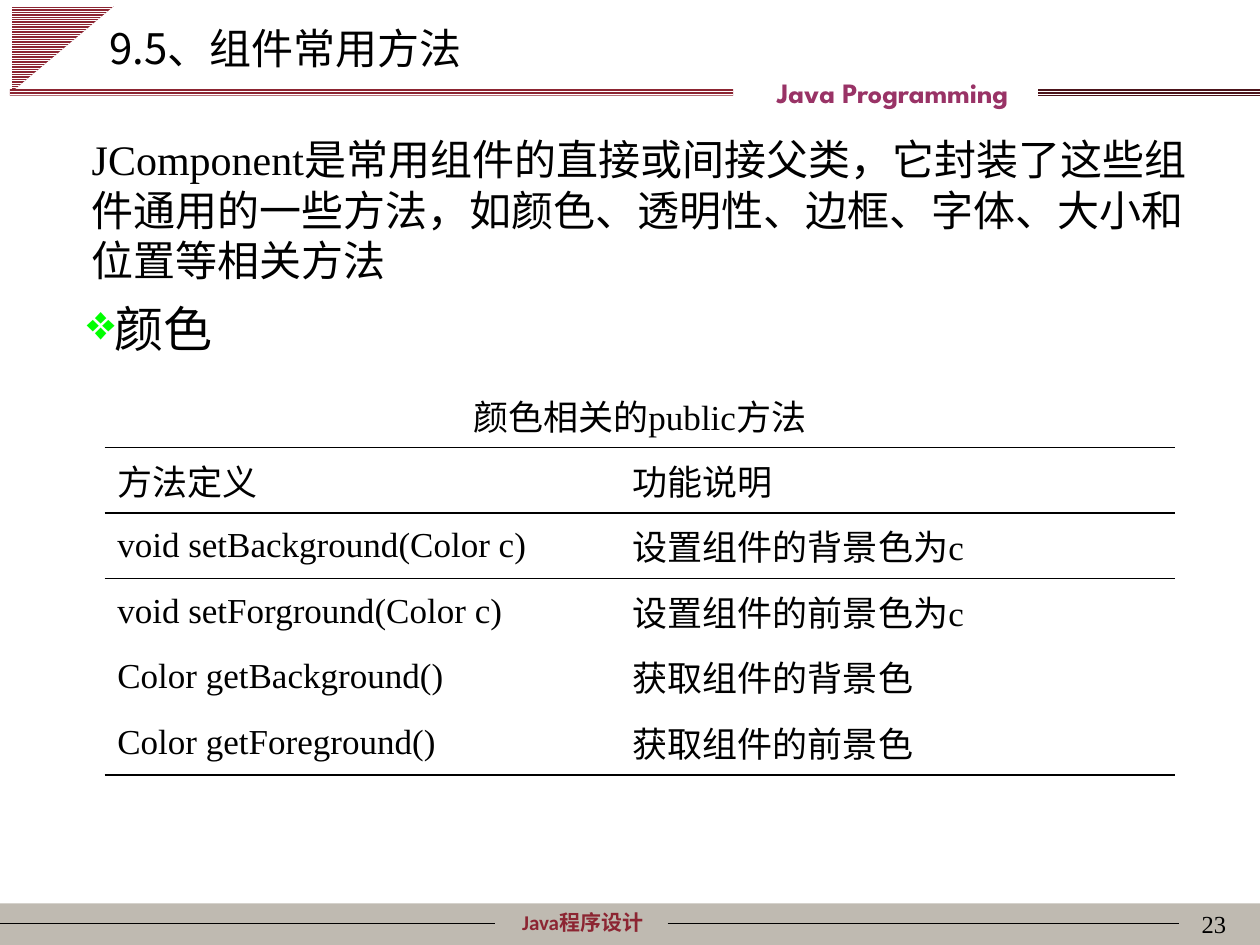
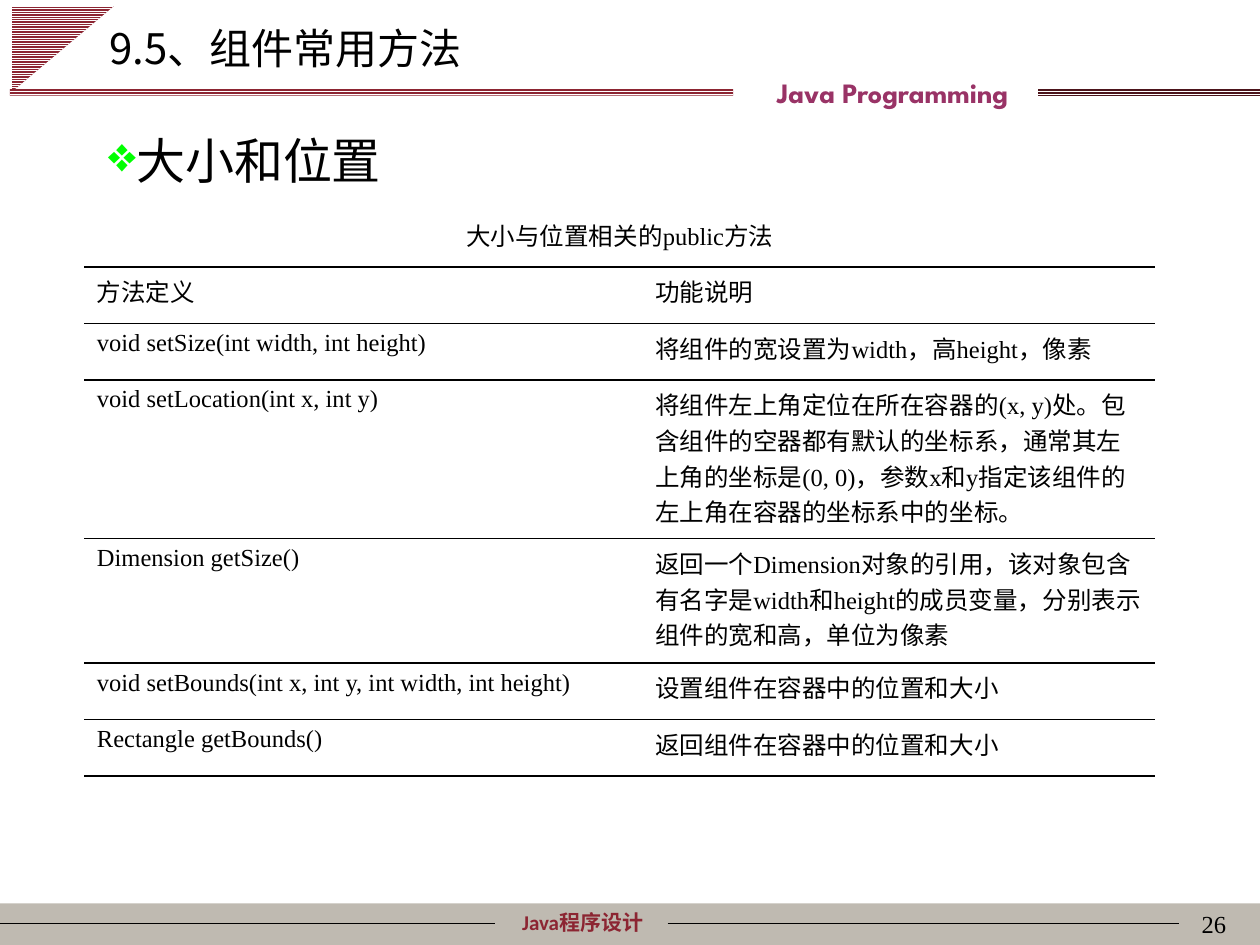
from lxml import etree
from pptx import Presentation
from pptx.dml.color import RGBColor
from pptx.enum.dml import MSO_PATTERN
from pptx.enum.shapes import MSO_CONNECTOR, MSO_SHAPE
from pptx.enum.text import MSO_ANCHOR, MSO_AUTO_SIZE, PP_ALIGN
from pptx.oxml.ns import qn
from pptx.util import Cm, Pt

BLACK = RGBColor(0x00, 0x00, 0x00)
WHITE = RGBColor(0xFF, 0xFF, 0xFF)
STONE = RGBColor(0xBF, 0xBA, 0xB1)
CRIMSON = RGBColor(0x8C, 0x25, 0x32)
MAROON = RGBColor(0x4C, 0x14, 0x1B)
PLUM = RGBColor(0x99, 0x33, 0x66)

RECTANGLE, TRIANGLE = MSO_SHAPE.RECTANGLE, MSO_SHAPE.RIGHT_TRIANGLE
STRAIGHT = MSO_CONNECTOR.STRAIGHT
STRIPES = MSO_PATTERN.LIGHT_HORIZONTAL
LEFT, CENTER, RIGHT = PP_ALIGN.LEFT, PP_ALIGN.CENTER, PP_ALIGN.RIGHT
TOP, MIDDLE = MSO_ANCHOR.TOP, MSO_ANCHOR.MIDDLE
GROW = MSO_AUTO_SIZE.SHAPE_TO_FIT_TEXT

HAN_FONT = "Noto Sans CJK SC"
BODY_FONT = "Times New Roman"
NO_TABLE_STYLE = "{2D5ABB26-0587-4C30-8999-92F81FD0307C}"
LINE_FACTOR = 1.2

TITLE = {"size": Pt(24), "name": HAN_FONT}
BODY = {"size": Pt(24), "name": BODY_FONT}
HEADING = {"size": Pt(28), "name": BODY_FONT}
PAGE_NUMBER = {"size": Pt(14), "name": BODY_FONT}
COURSE = {"size": Pt(12), "name": "Calibri", "bold": True}
BANNER = {"size": Pt(16), "name": "League Spartan", "bold": True}

COLOR_ROWS = [
    ("颜色相关的public方法", ""),
    ("方法定义", "功能说明"),
    ("void setBackground(Color c)", "设置组件的背景色为c"),
    ("void setForground(Color c)", "设置组件的前景色为c"),
    ("Color getBackground()", "获取组件的背景色"),
    ("Color getForeground()", "获取组件的前景色"),
]
SIZE_ROWS = [
    ("大小与位置相关的public方法", ""),
    ("方法定义", "功能说明"),
    ("void setSize(int width, int height)", "将组件的宽设置为width，高height，像素"),
    ("void setLocation(int x, int y)",
     "将组件左上角定位在所在容器的(x, y)处。包含组件的空器都有默认的坐标系，"
     "通常其左上角的坐标是(0, 0)，参数x和y指定该组件的左上角在容器的坐标系中的坐标。"),
    ("Dimension getSize()",
     "返回一个Dimension对象的引用，该对象包含有名字是width和height的成员变量，"
     "分别表示组件的宽和高，单位为像素"),
    ("void setBounds(int x, int y, int width, int height)", "设置组件在容器中的位置和大小"),
    ("Rectangle getBounds()", "返回组件在容器中的位置和大小"),
]


def in_cm(lengths):
    """Turn centimetre numbers into lengths."""
    return [Cm(length) for length in lengths]


def write(para, text, font_format, color=BLACK):
    """Put one formatted span of text into a paragraph."""
    span = para.add_run()
    span.text = text
    for name, value in font_format.items():
        setattr(span.font, name, value)
    span.font.color.rgb = color
    properties = span.font._element
    etree.SubElement(properties, qn("a:ea"), typeface=HAN_FONT)


def add_text(page, place, text, font_format, color=BLACK, align=LEFT,
             anchor=TOP, fit=GROW):
    """Add a wrapped text box and return its paragraph."""
    box = page.shapes.add_textbox(*in_cm(place))
    frame_format = {"word_wrap": True, "auto_size": fit, "vertical_anchor": anchor}
    for name, value in frame_format.items():
        setattr(box.text_frame, name, value)
    para = box.text_frame.paragraphs[0]
    para.alignment = align
    para.line_spacing = Pt(font_format["size"].pt * LINE_FACTOR)
    write(para, text, font_format, color)
    return para


def add_heading(page, place, text):
    """Add a heading with a green diamond bullet."""
    para = add_text(page, place, text, HEADING)
    properties = para._p.get_or_add_pPr()
    properties.set("marL", "0")
    properties.set("indent", "0")
    bullet_color = etree.SubElement(properties, qn("a:buClr"))
    etree.SubElement(bullet_color, qn("a:srgbClr"), val="00FF00")
    etree.SubElement(properties, qn("a:buChar"), char="❖")


def add_band(page, place, color, kind=RECTANGLE, striped=True, rotation=0):
    """Add a borderless shape with a striped or solid fill."""
    band = page.shapes.add_shape(kind, *in_cm(place))
    band.shadow.inherit = False
    band.rotation = rotation
    band.line.fill.background()
    if striped:
        band.fill.patterned()
        band.fill.pattern = STRIPES
        band.fill.fore_color.rgb = WHITE
        band.fill.back_color.rgb = color
    else:
        band.fill.solid()
        band.fill.fore_color.rgb = color


def add_rule(page, start, end, height):
    """Add a thin horizontal line."""
    rule = page.shapes.add_connector(STRAIGHT, *in_cm((start, height, end, height)))
    rule.line.color.rgb = BLACK
    rule.line.width = Pt(0.75)
    etree.SubElement(rule._element.spPr, qn("a:effectLst"))


def add_border(cell, tag):
    """Draw one black side of a table cell."""
    border = etree.SubElement(cell._tc.get_or_add_tcPr(), qn(tag), w=str(Pt(1)))
    fill = etree.SubElement(border, qn("a:solidFill"))
    etree.SubElement(fill, qn("a:srgbClr"), val=str(BLACK))


def add_method_table(page, place, rows, widths, heights, size, ruled, anchor):
    """Add a captioned table with lines under the ruled rows."""
    frame = page.shapes.add_table(len(rows), len(widths), *in_cm(place))
    table = frame.table
    table.first_row = table.horz_banding = False
    table._tbl.tblPr.find(qn("a:tableStyleId")).text = NO_TABLE_STYLE
    for column, width in zip(table.columns, widths):
        column.width = Cm(width)
    for row, height in zip(table.rows, heights):
        row.height = Cm(height)
    table.cell(0, 0).merge(table.cell(0, 1))
    for row_index, texts in enumerate(rows):
        for column_index, text in enumerate(texts):
            cell = table.cell(row_index, column_index)
            cell.vertical_anchor = anchor
            if row_index - 1 in ruled:
                add_border(cell, "a:lnT")
            if row_index in ruled:
                add_border(cell, "a:lnB")
            cell.fill.background()
            para = cell.text_frame.paragraphs[0]
            para.alignment = LEFT if row_index else CENTER
            if text:
                write(para, text, {"size": Pt(size), "name": BODY_FONT})


def add_page(deck, number):
    """Add a page with the shared bands, footer and title."""
    page = deck.slides.add_slide(deck.slide_layouts[6])
    add_band(page, (0, 18.21, 25.4, 0.84), STONE, striped=False)
    add_text(page, (9.19, 18.21, 5.11, 0.76), "Java程序设计", COURSE, CRIMSON, CENTER)
    for start, end in ((0, 9.98), (13.46, 23.77)):
        add_rule(page, start, end, 18.62)
    add_band(page, (0.41, -0.05, 1.73, 2.06), CRIMSON, TRIANGLE, rotation=90)
    add_band(page, (20.93, 1.8, 4.47, 0.15), MAROON)
    add_band(page, (0.2, 1.8, 14.58, 0.13), CRIMSON)
    add_text(page, (12.9, 1.4, 10.19, 0.94), "Java Programming", BANNER, PLUM, CENTER)
    add_text(page, (19.69, 18.21, 5.28, 1.27), str(number), PAGE_NUMBER,
             align=RIGHT, fit=MSO_AUTO_SIZE.NONE)
    add_text(page, (1.96, 0.33, 21.59, 1.27), "9.5、组件常用方法", TITLE)
    return page


def build_color_page(deck):
    """Build the page about colour methods."""
    page = add_page(deck, 23)
    add_text(page, (1.6, 2.57, 22.56, 3.3),
             "JComponent是常用组件的直接或间接父类，它封装了这些组件通用的一些方法，"
             "如颜色、透明性、边框、字体、大小和位置等相关方法", BODY, anchor=MIDDLE)
    add_heading(page, (1.5, 5.89, 22.56, 1.45), "颜色")
    add_method_table(page, (2.11, 7.7, 21.56, 7.9), COLOR_ROWS, (10.39, 11.18),
                     [1.32] * len(COLOR_ROWS), 20, (0, 1, 5), MIDDLE)


def build_size_page(deck):
    """Build the page about size and position methods."""
    page = add_page(deck, 26)
    add_heading(page, (1.93, 2.51, 11.76, 1.45), "大小和位置")
    add_method_table(page, (1.7, 4.24, 21.59, 11.43), SIZE_ROWS, (11.25, 10.34),
                     (1.14, 1.14, 1.14, 3.2, 2.51, 1.14, 1.14), 14,
                     range(len(SIZE_ROWS)), TOP)


def main():
    """Build and save the deck."""
    deck = Presentation()
    deck.slide_width, deck.slide_height = in_cm((25.4, 19.05))
    build_color_page(deck)
    build_size_page(deck)
    deck.save("out.pptx")


if __name__ == "__main__":
    main()
